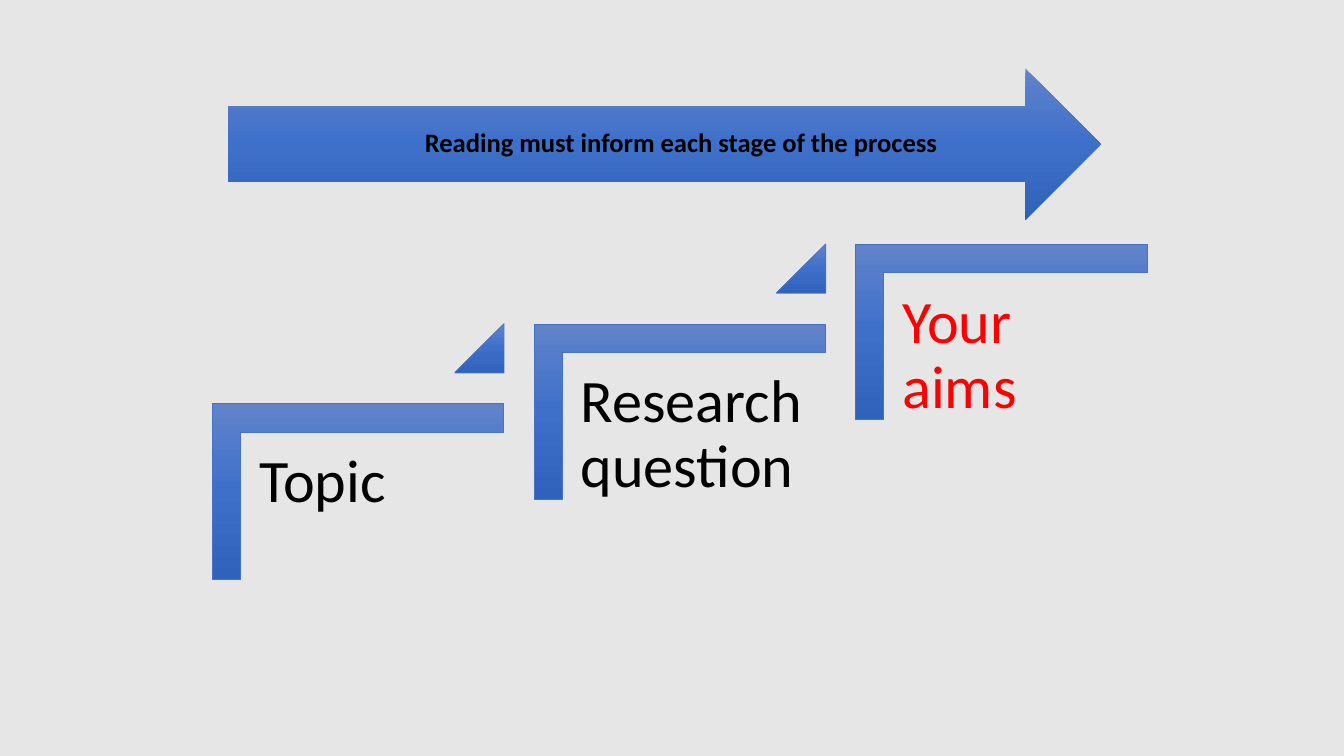
from copy import deepcopy

from pptx import Presentation
from pptx.dml.color import RGBColor
from pptx.enum.shapes import MSO_SHAPE
from pptx.enum.text import MSO_ANCHOR, PP_ALIGN
from pptx.oxml.ns import qn
from pptx.util import Inches, Pt

BLACK = RGBColor(0x00, 0x00, 0x00)
RED = RGBColor(0xFF, 0x00, 0x00)
GREY = RGBColor(0xE7, 0xE6, 0xE6)
EDGE = RGBColor(0x44, 0x72, 0xC4)
BLUES = [
    RGBColor(0x61, 0x83, 0xCB),
    RGBColor(0x3E, 0x70, 0xCA),
    RGBColor(0x30, 0x62, 0xBB),
]
CORNER = MSO_SHAPE.CORNER
WEDGE = MSO_SHAPE.ISOSCELES_TRIANGLE
ARROW = MSO_SHAPE.RIGHT_ARROW
LEFT, CENTER = PP_ALIGN.LEFT, PP_ALIGN.CENTER
TOP, MIDDLE = MSO_ANCHOR.TOP, MSO_ANCHOR.MIDDLE

BANNER = "Reading must inform each stage of the process"
STEPS = [("Topic", BLACK), ("Research question", BLACK), ("Your aims", RED)]
START_X, START_Y = 2.39, 4.29
RUN, RISE = 3.19, 0.79


def add_blue(slide, kind, box, edged=True):
    """Add a preset shape with the blue downward gradient."""
    shape = slide.shapes.add_shape(kind, *map(Inches, box))
    shape.shadow.inherit = False
    shape.fill.gradient()
    grad = shape.element.spPr.find(qn("a:gradFill"))
    grad.set("rotWithShape", "0")
    stops = grad.find(qn("a:gsLst"))
    stops.insert(1, deepcopy(stops[0]))
    for i, (stop, blue) in enumerate(zip(shape.fill.gradient_stops, BLUES)):
        stop.position = i / 2
        stop.color.rgb = blue
    shape.fill.gradient_angle = 270
    if edged:
        shape.line.color.rgb = EDGE
        shape.line.width = Pt(0.5)
    else:
        shape.line.fill.background()
    return shape


def add_text(slide, text, box, size, color, pads, align, anchor, bold=False):
    """Add a wrapped text box with one paragraph."""
    frame = slide.shapes.add_textbox(*map(Inches, box)).text_frame
    frame.word_wrap = True
    frame.vertical_anchor = anchor
    frame.margin_left = frame.margin_right = Inches(pads[0])
    frame.margin_top = frame.margin_bottom = Inches(pads[1])
    para = frame.paragraphs[0]
    para.text = text
    para.alignment = align
    para.line_spacing = 0.9
    para.font.name = "Calibri"
    para.font.size = Pt(size)
    para.font.bold = bold
    para.font.color.rgb = color


def main():
    """Build the staircase slide and save it."""
    deck = Presentation()
    deck.slide_width, deck.slide_height = Inches(13.33), Inches(7.5)
    slide = deck.slides.add_slide(deck.slide_layouts[6])
    slide.background.fill.solid()
    slide.background.fill.fore_color.rgb = GREY

    for i, (label, color) in enumerate(STEPS):
        x, y = START_X + i * RUN, START_Y - i * RISE
        corner = add_blue(slide, CORNER, (x + 0.29, y - 0.86, 1.74, 2.89))
        corner.rotation = 90
        corner.adjustments[0] = corner.adjustments[1] = 0.161
        add_text(slide, label, (x, y, 2.61, 2.29), 43, color,
                 (0.18, 0.18), LEFT, TOP)
        if i < len(STEPS) - 1:
            wedge = add_blue(slide, WEDGE, (x + 2.12, y - 1.08, 0.49, 0.49))
            wedge.adjustments[0] = 1

    add_blue(slide, ARROW, (2.26, 0.68, 8.66, 1.5), edged=False)
    add_text(slide, BANNER, (2.96, 1.05, 7.59, 0.75), 19, BLACK,
             (0, 0.21), CENTER, MIDDLE, bold=True)
    deck.save("out.pptx")


if __name__ == "__main__":
    main()
